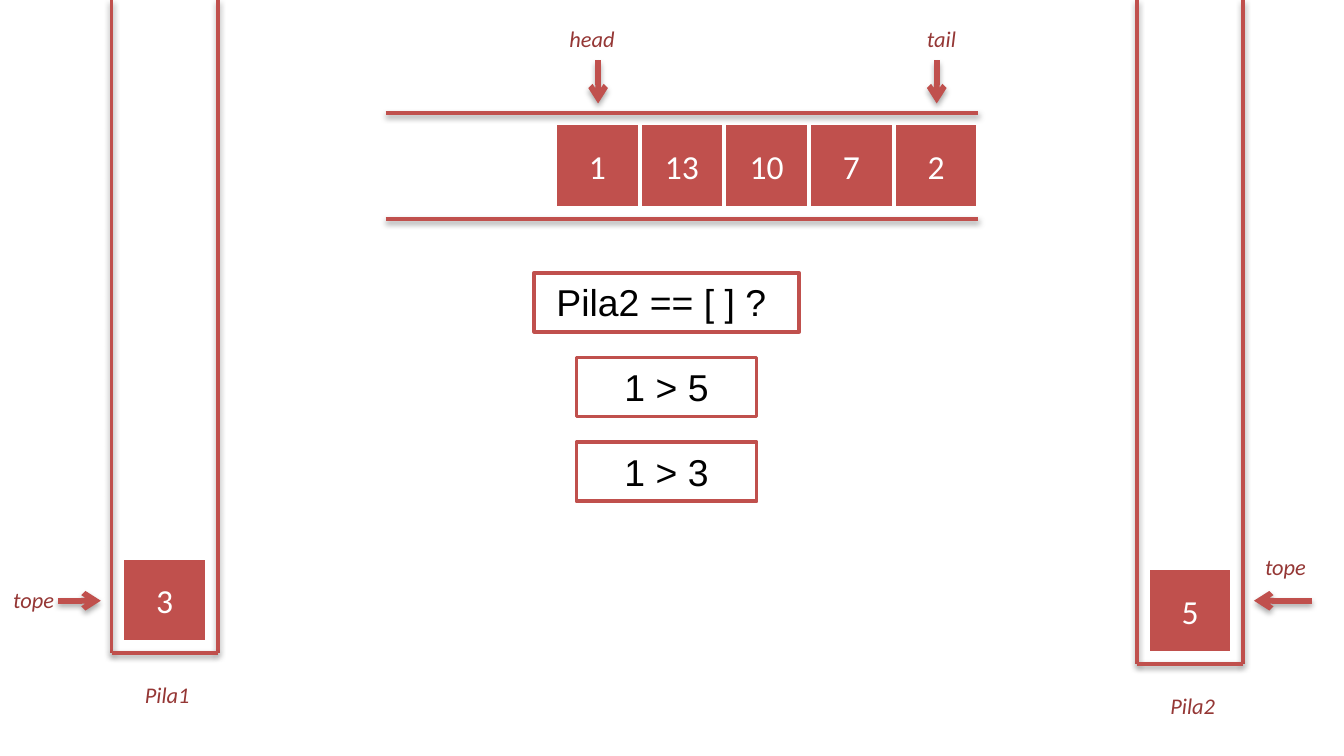
"""Build a slide showing a queue being sorted with two stacks."""
from lxml import etree
from pptx import Presentation
from pptx.dml.color import RGBColor
from pptx.enum.shapes import MSO_CONNECTOR, MSO_SHAPE
from pptx.enum.text import MSO_ANCHOR, PP_ALIGN
from pptx.oxml.ns import qn
from pptx.util import Inches, Pt

RECT = MSO_SHAPE.RECTANGLE
STRAIGHT = MSO_CONNECTOR.STRAIGHT
LEFT, CENTER = PP_ALIGN.LEFT, PP_ALIGN.CENTER
TOP, MIDDLE = MSO_ANCHOR.TOP, MSO_ANCHOR.MIDDLE

COLORS = {"red": "C0504D", "dark": "953735", "white": "FFFFFF", "black": "000000"}

QUEUE = ["1", "13", "10", "7", "2"]
CHECKS = [("Pila2 == [ ] ? ", 1.97), ("1 > 5", 1.34), ("1 > 3", 1.34)]
STACKS = [("Pila1", "3", 0.83, 4.86), ("Pila2", "5", 8.46, 4.94)]
LABELS = [
    ("head", (4.13, 0.14, 0.55, 0.3), CENTER),
    ("tail", (6.73, 0.14, 0.55, 0.3), CENTER),
    ("tope", (0, 4.31, 0.59, 0.3), LEFT),
    ("tope", (9.25, 4.07, 0.63, 0.3), CENTER),
]
ARROWS = [
    (4.45, 0.45, 4.45, 0.77),
    (6.97, 0.45, 6.97, 0.77),
    (0.43, 4.47, 0.75, 4.47),
    (9.76, 4.47, 9.33, 4.47),
]

CELL = 0.63
STACK_W = 0.79
QUEUE_X, QUEUE_Y = 4.13, 0.92
RAIL_X, RAIL_END, RAILS = 2.87, 7.28, (0.84, 1.63)
CHECK_CENTER, CHECK_Y, CHECK_STEP, CHECK_H = 4.96, 2.03, 0.63, 0.44

prs = Presentation()
prs.slide_width, prs.slide_height = Inches(10), Inches(10 * 9 / 16)
s = prs.slides.add_slide(prs.slide_layouts[6])


def rgb(name):
    return RGBColor.from_string(COLORS[name])


def write(sp, text, size=12, font="Calibri", color="dark", italic=False,
          align=CENTER, anchor=TOP):
    tf = sp.text_frame
    tf.word_wrap = True
    tf.vertical_anchor = anchor
    p = tf.paragraphs[0]
    p.alignment = align
    r = p.add_run()
    r.text = text
    r.font.size, r.font.name, r.font.italic = Pt(size), font, italic
    r.font.color.rgb = rgb(color)


def add_box(box, fill, line):
    sp = s.shapes.add_shape(RECT, *map(Inches, box))
    sp.shadow.inherit = False
    sp.fill.solid()
    sp.fill.fore_color.rgb = rgb(fill)
    sp.line.color.rgb = rgb(line)
    sp.line.width = Pt(2)
    return sp


def add_cell(text, x, y):
    sp = add_box((x, y, CELL, CELL), "red", "white")
    write(sp, text, size=18, color="white", anchor=MIDDLE)


def add_label(text, box, align=CENTER):
    write(s.shapes.add_textbox(*map(Inches, box)), text, italic=True, align=align)


def add_line(points, arrow=False):
    cx = s.shapes.add_connector(STRAIGHT, *map(Inches, points))
    cx.line.color.rgb = rgb("red")
    cx.line.width = Pt(3 if arrow else 2)
    sp_pr = cx._element.spPr
    if arrow:
        etree.SubElement(sp_pr.find(qn("a:ln")), qn("a:tailEnd"), type="arrow")
    effects = etree.SubElement(sp_pr, qn("a:effectLst"))
    shadow = etree.SubElement(
        effects, qn("a:outerShdw"), blurRad=str(Pt(3.1)),
        dist=str(Pt(1.8 if arrow else 1.6)), dir="5400000", rotWithShape="0")
    color = etree.SubElement(shadow, qn("a:srgbClr"), val=COLORS["black"])
    etree.SubElement(color, qn("a:alpha"), val="35000" if arrow else "38000")


for i, value in enumerate(QUEUE):
    add_cell(value, QUEUE_X + i * CELL, QUEUE_Y)
for y in RAILS:
    add_line((RAIL_X, y, RAIL_END, y))

for i, (text, width) in enumerate(CHECKS):
    box = (CHECK_CENTER - width / 2, CHECK_Y + i * CHECK_STEP, width, CHECK_H)
    write(add_box(box, "white", "red"), text, size=20, font="Arial", color="black")

for name, value, x, bottom in STACKS:
    right = x + STACK_W
    add_cell(value, x + 0.08, bottom - 0.71)
    add_label(name, (x + 0.08, bottom + 0.16, 0.67, 0.3))
    for side in (x, right):
        add_line((side, 0, side, bottom))
    add_line((x, bottom, right, bottom))

for text, box, align in LABELS:
    add_label(text, box, align)
for points in ARROWS:
    add_line(points, arrow=True)

prs.save("out.pptx")
